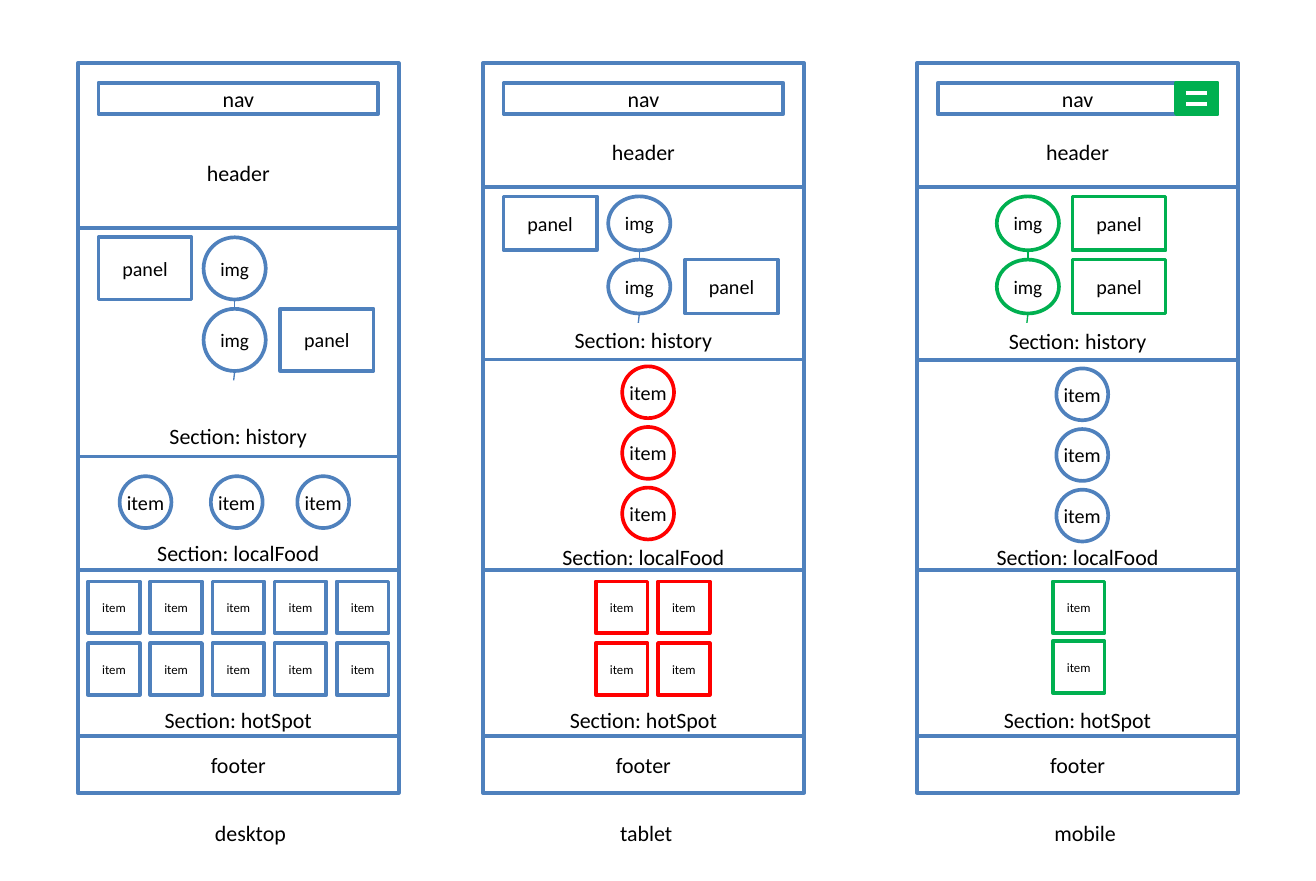
from lxml import etree
from pptx import Presentation
from pptx import util as u
from pptx.dml.color import RGBColor
from pptx.enum import shapes, text
from pptx.oxml.ns import qn

COLORS = {"blue": "4F81BD", "link": "4B7EBC", "red": "FF0000",
          "green": "00B050", "white": "FFFFFF", "black": "000000"}
RECT = shapes.MSO_SHAPE.RECTANGLE
OVAL = shapes.MSO_SHAPE.OVAL
MIDDLE = text.MSO_ANCHOR.MIDDLE
BOTTOM = text.MSO_ANCHOR.BOTTOM


def write(box, label, size, align):
    para = box.text_frame.paragraphs[0]
    para.text = label
    para.alignment = align
    for span in para.runs:
        span.font.name = "Calibri"
        span.font.size = u.Pt(size)
        span.font.color.rgb = RGBColor.from_string(COLORS["black"])


def block(kind, left, top, width, height, label="", size=12,
          line="blue", fill="white", anchor=MIDDLE, lift=0):
    box = page.shapes.add_shape(kind, u.Cm(left), u.Cm(top), u.Cm(width), u.Cm(height))
    box.shadow.inherit = False
    box.fill.solid()
    box.fill.fore_color.rgb = RGBColor.from_string(COLORS[fill])
    box.line.color.rgb = RGBColor.from_string(COLORS[line])
    box.line.width = u.Pt(2)
    frame = box.text_frame
    frame.word_wrap = kind == RECT
    frame.vertical_anchor = anchor
    frame.margin_left = frame.margin_right = frame.margin_top = 0
    frame.margin_bottom = u.Cm(lift)
    write(box, label, size, text.PP_ALIGN.CENTER)


deck = Presentation()
deck.slide_width, deck.slide_height = u.Cm(25.4), u.Cm(17)
page = deck.slides.add_slide(deck.slide_layouts[6])

# Horizontal places are measured from the left edge of each device.
# edges: section borders; lifts: space under each section label
devices = [
    {"name": "desktop", "left": 1.5, "edges": [1.22, 4.4, 8.81, 11, 14.2],
     "lifts": [0.81, 0.14, 0.07, 0.05],
     "panels": [0.4, 3.91], "images": 2.43, "image_height": 1.2, "history": "blue",
     "foods": [(0.81, 9.19), (2.57, 9.19), (4.24, 9.19)], "food": "blue",
     "spots": (0.2, 5, 1.19), "spot": "blue"},
    {"name": "tablet", "left": 9.32, "edges": [1.22, 3.61, 6.94, 11, 14.2],
     "lifts": [0.42, 0.12, 0, 0.05],
     "panels": [0.4, 3.9], "images": 2.42, "image_height": 1.04, "history": "blue",
     "foods": [(2.69, 7.07 + 1.17 * row) for row in range(3)], "food": "red",
     "spots": (2.18, 2, 1.19), "spot": "red"},
    {"name": "mobile", "left": 17.7, "edges": [1.22, 3.61, 6.95, 11, 14.2],
     "lifts": [0.42, 0.12, 0, 0.05],
     "panels": [3, 3], "images": 1.54, "image_height": 1.04, "history": "green",
     "foods": [(2.69, 7.11 + 1.17 * row) for row in range(3)], "food": "blue",
     "spots": (2.62, 1, 1.15), "spot": "green"},
]
sections = ["header", "Section: history", "Section: localFood", "Section: hotSpot"]
strokes = []

for device in devices:
    left, edges = device["left"], device["edges"]

    # Sections, footer and navigation
    for label, top, bottom, lift in zip(sections, edges, edges[1:], device["lifts"]):
        block(RECT, left, top, 6.2, bottom - top, label, anchor=BOTTOM, lift=lift)
    block(RECT, left, edges[-1], 6.2, 1.1, "footer")
    block(RECT, left + 0.4, 1.6, 5.4, 0.6, "nav")

    # History timeline
    height, color = device["image_height"], device["history"]
    link = "link" if color == "blue" else color
    center = left + device["images"] + 0.6
    for row, panel in enumerate(device["panels"]):
        top = edges[1] + 0.18 + row * (height + 0.18)
        block(OVAL, center - 0.6, top, 1.2, height, "img", 10.5, color)
        block(RECT, left + panel, top, 1.8, height, "panel", 11, color)
        strokes.append((center, top + height, center - 0.02 * row, top + height + 0.18, link, 0.75))

    # Local food items
    for offset, top in device["foods"]:
        block(OVAL, left + offset, top, 1, 1, "item", 11, device["food"])

    # Hot spot grid
    first, columns, pitch = device["spots"]
    for row in range(2):
        for column in range(columns):
            block(RECT, left + first + 1.2 * column, 11.22 + pitch * row, 1, 1,
                  "item", 7, device["spot"])

    # Device name
    caption = page.shapes.add_textbox(u.Cm(left + 2.4), u.Cm(15.7), u.Cm(1.95), u.Cm(0.77))
    caption.text_frame.word_wrap = True
    write(caption, device["name"], 12, text.PP_ALIGN.LEFT)

# Menu button on mobile
block(RECT, 22.7, 1.6, 0.8, 0.6, line="green", fill="green")
for height in (1.8, 2):
    strokes.append((22.89, height, 23.3, height, "white", 2.25))

# Timeline links and menu bars
for x1, y1, x2, y2, color, weight in strokes:
    stroke = page.shapes.add_connector(shapes.MSO_CONNECTOR.STRAIGHT,
                                       u.Cm(x1), u.Cm(y1), u.Cm(x2), u.Cm(y2))
    stroke.line.color.rgb = RGBColor.from_string(COLORS[color])
    stroke.line.width = u.Pt(weight)
    etree.SubElement(stroke._element.spPr, qn("a:effectLst"))

deck.save("out.pptx")
